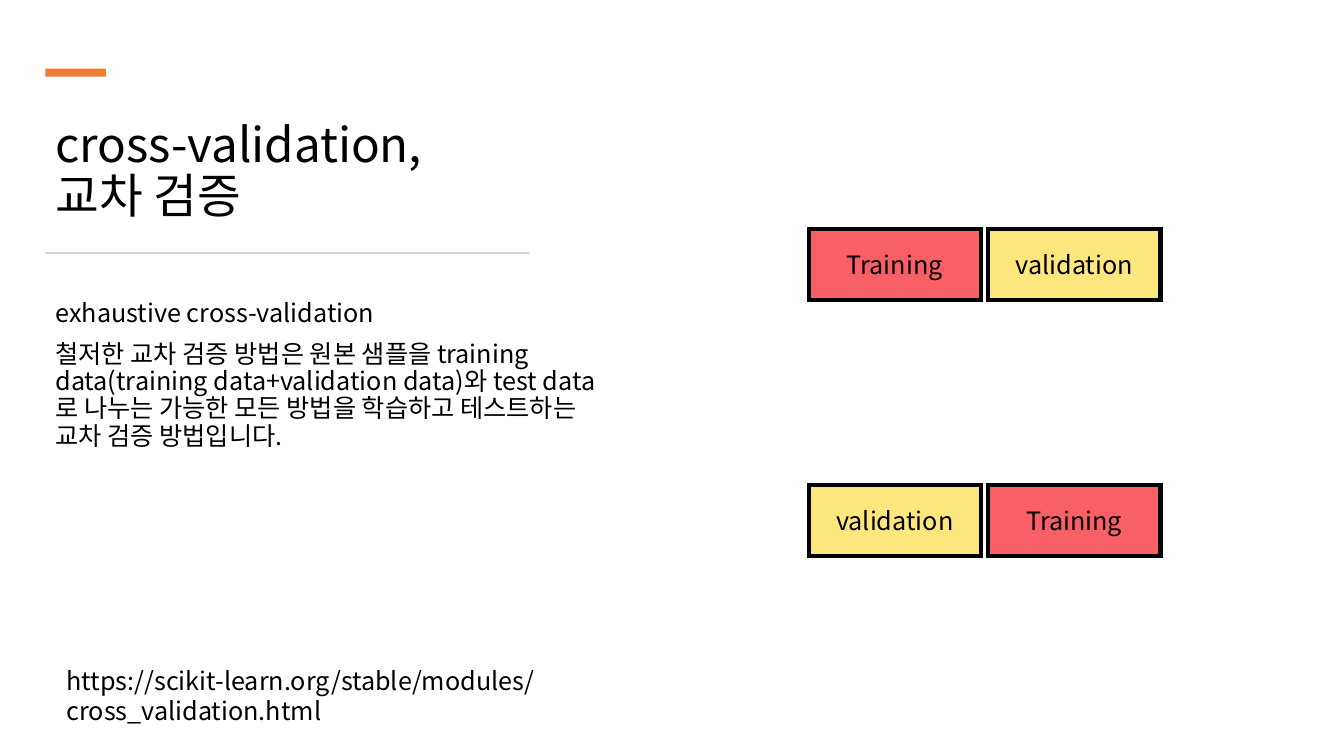
import pptx
import pptx.dml.color
import pptx.enum.shapes
import pptx.enum.text
import pptx.util
from lxml import etree
from pptx.util import Inches

COLOURS = {
    "text": "000000",
    "accent": "ED7D31",
    "rule": "D5D5D5",
    "Training": "F96066",
    "validation": "FDE77C",
}
NAMESPACE = "{http://schemas.openxmlformats.org/drawingml/2006/main}"


class SlideBuilder:
    font = "Noto Sans CJK KR"

    def __init__(self, page):
        self.page = page

    def colour(self, name):
        return pptx.dml.color.RGBColor.from_string(COLOURS[name])

    def place(self, shape, left, top, width, height):
        shape.left, shape.top = Inches(left), Inches(top)
        shape.width, shape.height = Inches(width), Inches(height)

    def format_text(self, frame, size):
        frame.word_wrap = True
        for para in frame.paragraphs:
            for span in para.runs:
                span.font.size = pptx.util.Pt(size)
                span.font.name = self.font
                span.font.color.rgb = self.colour("text")
                properties = span.font._element
                etree.SubElement(properties, NAMESPACE + "ea", typeface=self.font)

    def title(self, text, *bounds):
        shape = self.page.shapes.title
        self.place(shape, *bounds)
        frame = shape.text_frame
        frame.text = text
        frame.auto_size = pptx.enum.text.MSO_AUTO_SIZE.NONE
        frame.vertical_anchor = pptx.enum.text.MSO_ANCHOR.BOTTOM
        frame.paragraphs[0].alignment = pptx.enum.text.PP_ALIGN.LEFT
        frame.paragraphs[0].line_spacing = 0.9
        self.format_text(frame, 34)

    def body(self, lines, *bounds):
        shape = self.page.placeholders[1]
        self.place(shape, *bounds)
        frame = shape.text_frame
        frame.text = "\n".join(lines)
        frame.auto_size = pptx.enum.text.MSO_AUTO_SIZE.NONE
        frame.vertical_anchor = pptx.enum.text.MSO_ANCHOR.TOP
        for index, para in enumerate(frame.paragraphs):
            para.line_spacing = 0.9
            para.space_before = pptx.util.Pt(10 if index else 0)
            properties = para._p.get_or_add_pPr()
            properties.set("marL", "0")
            properties.set("indent", "0")
            etree.SubElement(properties, NAMESPACE + "buNone")
        self.format_text(frame, 18)

    def text_box(self, text, *bounds):
        box = self.page.shapes.add_textbox(*map(Inches, bounds))
        box.text_frame.text = text
        box.text_frame.paragraphs[0].space_after = pptx.util.Pt(6)
        self.format_text(box.text_frame, 18)

    def rectangle(self, fill, *bounds):
        kind = pptx.enum.shapes.MSO_SHAPE.RECTANGLE
        shape = self.page.shapes.add_shape(kind, *map(Inches, bounds))
        shape.shadow.inherit = False
        shape.fill.solid()
        shape.fill.fore_color.rgb = self.colour(fill)
        shape.line.fill.background()
        return shape

    def fold(self, label, *bounds):
        shape = self.rectangle(label, *bounds)
        shape.line.color.rgb = self.colour("text")
        shape.line.width = pptx.util.Pt(3)
        outline = shape._element.spPr.find(NAMESPACE + "ln")
        etree.SubElement(outline, NAMESPACE + "miter", lim="800000")
        frame = shape.text_frame
        frame.text = label
        frame.vertical_anchor = pptx.enum.text.MSO_ANCHOR.MIDDLE
        para = frame.paragraphs[0]
        para.alignment = pptx.enum.text.PP_ALIGN.CENTER
        para.space_after = pptx.util.Pt(6)
        self.format_text(frame, 18)


def main():
    deck = pptx.Presentation()
    deck.slide_width, deck.slide_height = Inches(13.33), Inches(7.5)
    builder = SlideBuilder(deck.slides.add_slide(deck.slide_layouts[1]))

    builder.title("cross-validation, \v교차 검증", 0.45, 1.08, 4.86, 1.19)
    builder.rectangle("accent", 0.45, 0.68, 0.6, 0.08)
    builder.rectangle("rule", 0.45, 2.5, 4.8, 0.02)
    builder.body(
        [
            "exhaustive cross-validation",
            "철저한 교차 검증 방법은 원본 샘플을 training data(training data+validation data)와 "
            "test data로 나누는 가능한 모든 방법을 학습하고 테스트하는 교차 검증 방법입니다.",
        ],
        0.45, 2.93, 5.6, 3.82,
    )
    builder.text_box(
        "https://scikit-learn.org/stable/modules/cross_validation.html",
        0.56, 6.55, 7.22, 0.4,
    )

    splits = [("Training", "validation"), ("validation", "Training")]
    for row, labels in enumerate(splits):
        for column, label in enumerate(labels):
            builder.fold(label, 8.02 + 1.78 * column, 2.27 + 2.54 * row, 1.71, 0.71)

    deck.save("out.pptx")


if __name__ == "__main__":
    main()
